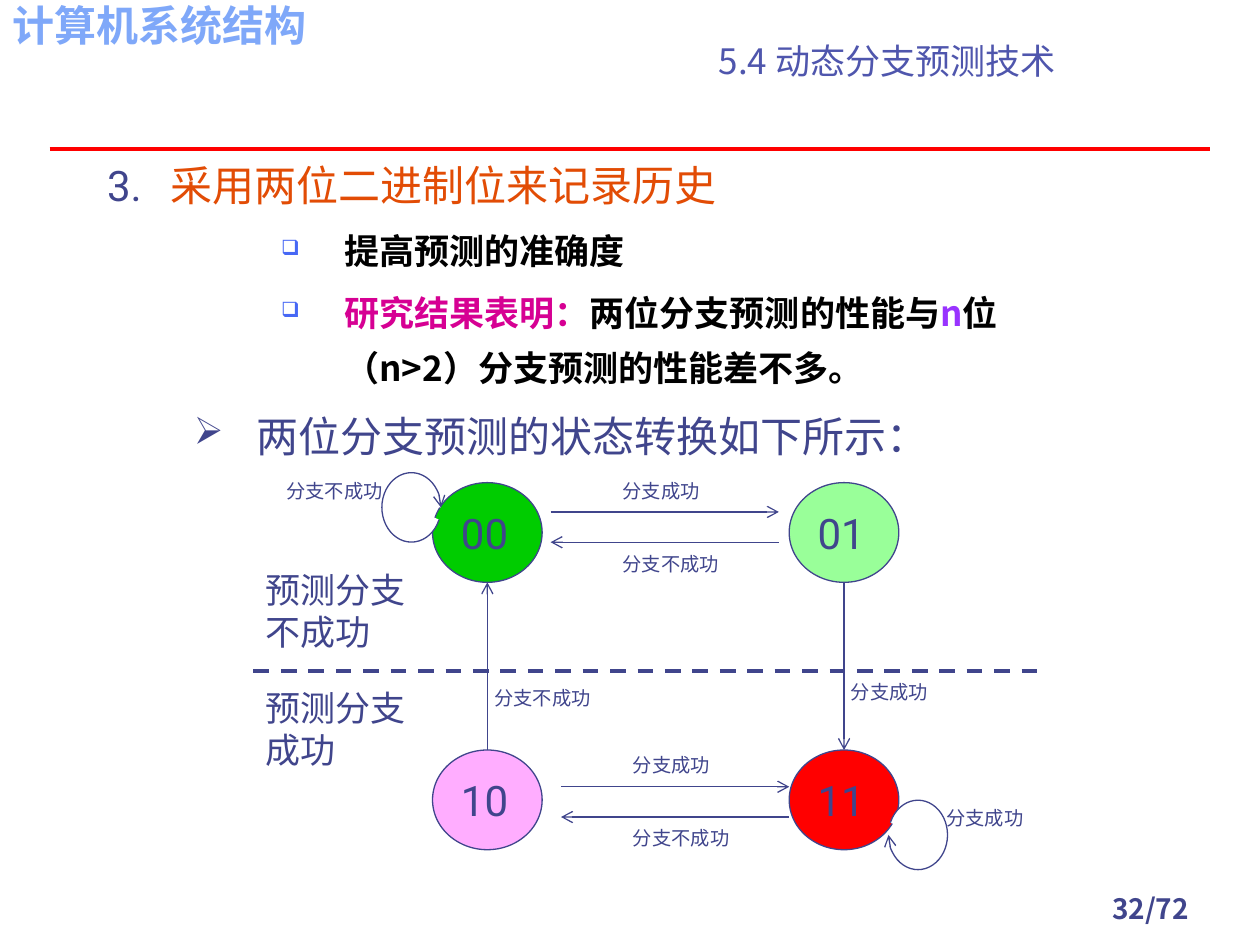
from lxml.etree import SubElement
from pptx import Presentation
from pptx.dml.color import RGBColor
from pptx.enum.dml import MSO_LINE
from pptx.enum.shapes import MSO_CONNECTOR, MSO_SHAPE
from pptx.enum.text import MSO_ANCHOR, PP_ALIGN
from pptx.oxml.ns import qn
from pptx.util import Cm, Pt

COLORS = {
    "ink": "40458C", "title": "4F56AD", "course": "7FA8F9", "rule": "FF0000",
    "heading": "E24C05", "black": "000000", "magenta": "D60093",
    "violet": "9933FF", "bullet": "4768F5", "white": "FFFFFF",
    "green": "00CC00", "light_green": "99FF99", "pink": "FFADFF", "red": "FF0000",
}
SANS = "Noto Sans CJK SC"
ROBOTO = "Roboto"
TAKEN = "分支成功"
NOT_TAKEN = "分支不成功"


def color(name):
    """Return the palette colour with this name."""
    return RGBColor.from_string(COLORS[name])


def add_run(paragraph, text, size, font_name, color_name, bold=False):
    """Append one formatted run."""
    run = paragraph.add_run()
    run.text = text
    run.font.size = Pt(size)
    run.font.name = font_name
    run.font.bold = bold
    run.font.color.rgb = color(color_name)
    SubElement(run.font._element, qn("a:ea"), typeface=font_name)


def add_text(slide, box, text, size, font_name=ROBOTO, color_name="ink",
             bold=False, wrap=True, align=None):
    """Add a one-paragraph text box and return its frame."""
    frame = slide.shapes.add_textbox(*map(Cm, box)).text_frame
    frame.word_wrap = wrap
    if align is not None:
        frame.paragraphs[0].alignment = align
    add_run(frame.paragraphs[0], text, size, font_name, color_name, bold)
    return frame


def add_line(slide, start, end, color_name="ink", width=0.75, arrow=False):
    """Add a straight line, with an open arrowhead if wanted."""
    line = slide.shapes.add_connector(MSO_CONNECTOR.STRAIGHT, *map(Cm, start + end))
    line.line.color.rgb = color(color_name)
    line.line.width = Pt(width)
    if arrow:
        add_arrowhead(line)
    SubElement(line._element.spPr, qn("a:effectLst"))
    return line


def add_arrowhead(shape):
    """Put an open arrowhead at the end of an outline."""
    SubElement(shape.line._get_or_add_ln(), qn("a:tailEnd"), type="arrow")


def add_outlined(slide, kind, box, fill_name):
    """Add a filled preset shape with a thin outline."""
    shape = slide.shapes.add_shape(kind, *map(Cm, box))
    shape.shadow.inherit = False
    shape.fill.solid()
    shape.fill.fore_color.rgb = color(fill_name)
    shape.line.color.rgb = color("ink")
    shape.line.width = Pt(0.75)
    return shape


def set_bullet(paragraph, indent, color_name, percent, character=None, start=None):
    """Give a paragraph a hanging bullet or number."""
    properties = paragraph._p.get_or_add_pPr()
    properties.set("marL", str(Cm(indent)))
    properties.set("indent", str(Cm(-1.27)))
    bullet_color = SubElement(properties, qn("a:buClr"))
    SubElement(bullet_color, qn("a:srgbClr"), val=COLORS[color_name])
    SubElement(properties, qn("a:buSzPct"), val=str(percent * 1000))
    if character:
        SubElement(properties, qn("a:buChar"), char=character)
    else:
        SubElement(properties, qn("a:buAutoNum"), type="arabicPeriod", startAt=str(start))


def add_frame(slide, width, height):
    """Add the course name, section title, rule and page number."""
    course = add_text(slide, (0, 0, 7.19, 1.37), "计算机系统结构", 24, SANS, "course", True)
    title = add_text(slide, (10.8, 0.69, 14.17, 1.07), "5.4 动态分支预测技术", 20,
                     SANS, "title", align=PP_ALIGN.CENTER)
    title.vertical_anchor = MSO_ANCHOR.BOTTOM
    add_line(slide, (1, 3), (width - 1, 3), "rule", 2)
    page = add_text(slide, (width - 4.01, height - 1.07, 3.61, 0.84), "32/72", 16,
                    SANS, bold=True, align=PP_ALIGN.CENTER)
    course.margin_top = page.margin_top = 0


def add_points(slide, box):
    """Add the numbered heading with its points."""
    frame = slide.shapes.add_textbox(*map(Cm, box)).text_frame
    frame.word_wrap = True
    frame.margin_top = Cm(0.2)
    square = {"indent": 4.78, "color_name": "bullet", "percent": 60, "character": "❑"}
    points = [
        ({"indent": 1.27, "color_name": "ink", "percent": 100, "start": 3}, 24, ROBOTO,
         [("采用两位二进制位来记录历史", "heading")]),
        (square, 20, SANS, [("提高预测的准确度", "black")]),
        (square, 20, SANS, [("研究结果表明：", "magenta"), ("两位分支预测的性能与", "black"),
                            ("n", "violet"), ("位（n>2）分支预测的性能差不多。", "black")]),
        ({"indent": 3.02, "color_name": "ink", "percent": 90, "character": "➢"}, 24, ROBOTO,
         [("两位分支预测的状态转换如下所示：", "ink")]),
    ]
    for index, (bullet, size, font_name, runs) in enumerate(points):
        paragraph = frame.add_paragraph() if index else frame.paragraphs[0]
        set_bullet(paragraph, **bullet)
        paragraph.line_spacing = Pt(36.6 if size == 24 else 31.4)
        if index:
            paragraph.space_before = Pt(size * 0.2)
        for text, color_name in runs:
            add_run(paragraph, text, size, font_name, color_name, font_name == SANS)


def add_state_diagram(slide, left, top):
    """Add the four states, their transitions and the two prediction zones."""
    columns, rows = (3.61, 10.8), (0.2, 5.59)
    node_width, node_height = 2.21, 2.01

    def place(x, y):
        """Shift a point into the diagram."""
        return left + x, top + y

    def label(x, y, text):
        """Add a transition label."""
        width = 2.08 if text == TAKEN else 2.46
        add_text(slide, place(x, y) + (width, 0.74), text, 11, wrap=False)

    fills = (("green", "light_green"), ("pink", "red"))
    for row, y in enumerate(rows):
        for column, x in enumerate(columns):
            node = add_outlined(slide, MSO_SHAPE.OVAL,
                                place(x, y) + (node_width, node_height), fills[row][column])
            frame = node.text_frame
            frame.word_wrap = False
            frame.vertical_anchor = MSO_ANCHOR.MIDDLE
            frame.paragraphs[0].alignment = PP_ALIGN.LEFT
            add_run(frame.paragraphs[0], f"{row}{column}", 24, ROBOTO, "ink")

    divider = add_line(slide, place(0, 3.99), place(15.8, 3.99), width=2.25)
    divider.line.dash_style = MSO_LINE.DASH
    for y, text in ((1.8, "预测分支不成功"), (4.19, "预测分支成功")):
        add_text(slide, place(0, y) + (3.4, 1.96), text, 20)

    for x, y, rotation, label_x, text in ((2.59, 0, 0, 0.41, NOT_TAKEN),
                                          (12.8, 6.6, 180, 13.72, TAKEN)):
        loop = add_outlined(slide, MSO_SHAPE.ARC, place(x, y) + (1.19, 1.4), "white")
        loop.adjustments[0] = 14.35
        loop.adjustments[1] = 0
        loop.rotation = rotation
        add_arrowhead(loop)
        label(label_x, y, text)

    for x, y in ((5.99, 0), (6.2, 5.54)):
        add_line(slide, place(x, y + 0.79), place(x + 4.6, y + 0.79), arrow=True)
        add_line(slide, place(x + 4.6, y + 1.4), place(x, y + 1.4), arrow=True)
        label(x + 1.2, y, TAKEN)
        label(x + 1.2, y + 1.47, NOT_TAKEN)

    upper, lower = rows[0] + node_height, rows[1]
    for column, start, end, label_y, text in ((columns[0], lower, upper, 4.19, NOT_TAKEN),
                                              (columns[1], upper, lower, 4.06, TAKEN)):
        x = column + node_width / 2
        add_line(slide, place(x, start), place(x, end), arrow=True)
        label(x - 0.11, label_y, text)


def main():
    """Build and save the presentation."""
    width, height = 25.4, 19.05
    presentation = Presentation()
    presentation.slide_width = Cm(width)
    presentation.slide_height = Cm(height)
    slide = presentation.slides.add_slide(presentation.slide_layouts[6])
    add_frame(slide, width, height)
    add_points(slide, (1.91, 2.74, 20.8, 6.32))
    add_state_diagram(slide, 5.11, 9.53)
    presentation.save("out.pptx")


if __name__ == "__main__":
    main()
